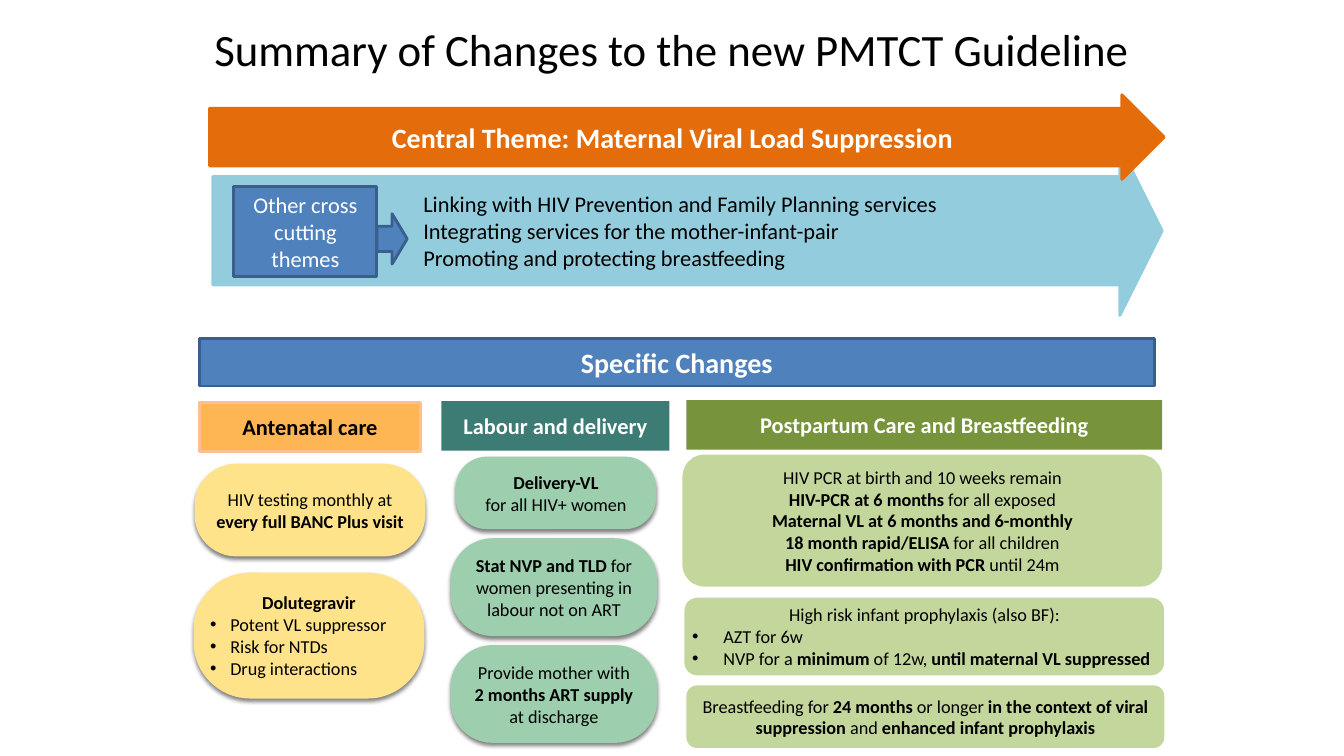
from lxml.etree import SubElement as Sub
from pptx import Presentation
from pptx.dml.color import RGBColor as Rgb
from pptx.enum.shapes import MSO_SHAPE as Kind
from pptx.enum.text import MSO_ANCHOR as Anchor, MSO_AUTO_SIZE as Auto, PP_ALIGN as Align
from pptx.oxml.ns import qn
from pptx.util import Inches, Pt

BLACK = Rgb(0x00, 0x00, 0x00)
WHITE = Rgb(0xFF, 0xFF, 0xFF)
BLUE = Rgb(0x4F, 0x81, 0xBD)
NAVY = Rgb(0x3A, 0x5F, 0x8C)
SKY = Rgb(0x93, 0xCD, 0xDD)
RUST = Rgb(0xE4, 0x6C, 0x0A)
AMBER = Rgb(0xFE, 0xB5, 0x54)
PEACH = Rgb(0xFA, 0xC0, 0x90)
LEMON = Rgb(0xFF, 0xE3, 0x8B)
TEAL = Rgb(0x3D, 0x7B, 0x75)
MINT = Rgb(0x9D, 0xCF, 0xAE)
OLIVE = Rgb(0x77, 0x93, 0x3C)
LIME = Rgb(0xC3, 0xD6, 0x9B)

COLS, ROWS = 160, 90
PAD = (1.2, 0.6, 1.2, 0.6)
BARE = (0, 0, 0, 0)


class Board:
    face = "Calibri"

    def __init__(self):
        self.deck = Presentation()
        self.deck.slide_width = Inches(13.33)
        self.deck.slide_height = Inches(7.5)
        self.slide = self.deck.slides.add_slide(self.deck.slide_layouts[6])

    def across(self, cols):
        return round(self.deck.slide_width * cols / COLS)

    def down(self, rows):
        return round(self.deck.slide_height * rows / ROWS)

    def place(self, box):
        x, y, w, h = box
        return self.across(x), self.down(y), self.across(w), self.down(h)

    def letter(self, shape, lines, size, color=BLACK, align=Align.CENTER,
               pad=PAD, dent=0, **more):
        frame = shape.text_frame
        left, top, right, low = pad
        form = {"word_wrap": True, "vertical_anchor": Anchor.MIDDLE,
                "margin_left": self.across(left), "margin_top": self.down(top),
                "margin_right": self.across(right), "margin_bottom": self.down(low)}
        for key, value in {**form, **more}.items():
            setattr(frame, key, value)
        for num, line in enumerate(lines):
            para = frame.paragraphs[0] if num == 0 else frame.add_paragraph()
            para.alignment = align
            if line.startswith("•"):
                line = line[1:]
                self.bullet(para, dent)
            for part, text in enumerate(line.split("**")):
                if text:
                    run = para.add_run()
                    run.text = text
                    font = {"name": self.face, "size": Pt(size), "bold": part % 2 == 1}
                    for key, value in font.items():
                        setattr(run.font, key, value)
                    run.font.color.rgb = color

    def bullet(self, para, dent):
        para.alignment = Align.LEFT
        props = para._p.get_or_add_pPr()
        step = self.across(dent)
        props.set("marL", str(step))
        props.set("indent", str(-step))
        Sub(props, qn("a:buFont")).set("typeface", "Arial")
        Sub(props, qn("a:buChar")).set("char", "•")

    def title(self, box, text, size):
        shape = self.slide.shapes.add_textbox(*self.place(box))
        self.letter(shape, [text], size, vertical_anchor=Anchor.TOP,
                    auto_size=Auto.SHAPE_TO_FIT_TEXT)

    def block(self, box, fill, edge=None, kind=Kind.RECTANGLE, bend=()):
        shape = self.slide.shapes.add_shape(kind, *self.place(box))
        shape.shadow.inherit = False
        shape.fill.solid()
        shape.fill.fore_color.rgb = fill
        if edge is None:
            shape.line.fill.background()
        else:
            shape.line.color.rgb = edge
            shape.line.width = Pt(2)
        for num, value in enumerate(bend):
            shape.adjustments[num] = value
        return shape

    def label(self, box, text, fill, edge=None, size=16, color=WHITE):
        self.letter(self.block(box, fill, edge), [text], size, color)

    def arrow(self, box, fill, edge, bend=()):
        return self.block(box, fill, edge, Kind.RIGHT_ARROW, bend)

    def card(self, box, lines, fill, **form):
        shape = self.block(box, fill, kind=Kind.ROUNDED_RECTANGLE)
        self.letter(shape, lines, 13, **form)

    def pill(self, box, lines, fill, bend, dent=0):
        shape = self.block(box, fill, kind=Kind.ROUNDED_RECTANGLE, bend=[bend])
        self.shade(shape)
        self.letter(shape, lines, 13, pad=BARE, dent=dent)

    def shade(self, shape):
        cast = Sub(shape._element.spPr.find(qn("a:effectLst")), qn("a:outerShdw"))
        form = {"blurRad": Pt(3), "dist": Pt(2), "dir": 90 * 60000,
                "algn": "t", "rotWithShape": 0}
        for key, value in form.items():
            cast.set(key, str(value))
        tint = Sub(cast, qn("a:srgbClr"))
        tint.set("val", str(BLACK))
        Sub(tint, qn("a:alpha")).set("val", "50000")


def main():
    board = Board()
    board.title((23.16, 2.04, 113.64, 7.68),
                "Summary of Changes to the new PMTCT Guideline", 32)

    themes = board.arrow((25.32, 17.4, 113.04, 20.16), SKY, SKY, (0.64, 0.25))
    board.letter(themes, ["Linking with HIV Prevention and Family Planning services",
                          "Integrating services for the mother-infant-pair",
                          "Promoting and protecting breastfeeding"],
                 16, align=Align.LEFT, pad=(25.08, 0.6, 1.2, 0.6))
    board.label((27.84, 22.2, 17.04, 10.68), "Other cross cutting themes", BLUE, NAVY)
    board.arrow((44.88, 25.44, 3.6, 6), BLUE, NAVY)
    central = board.arrow((24.96, 11.28, 113.64, 10.08), RUST, RUST, (0.68, 0.5))
    board.letter(central, ["**Central Theme: Maternal Viral Load Suppression**"], 20, WHITE)

    board.label((23.76, 40.32, 113.64, 5.64), "**Specific Changes**", BLUE, NAVY, 20)
    board.label((23.76, 47.88, 26.28, 5.88), "**Antenatal care**", AMBER, PEACH, color=BLACK)
    board.label((52.56, 47.76, 27.12, 5.88), "**Labour and delivery**", TEAL)
    board.label((81.72, 47.64, 56.64, 5.88), "**Postpartum Care and Breastfeeding**", OLIVE)

    board.pill((23.16, 55.2, 27.48, 11.04),
               ["HIV testing monthly at", "**every full BANC Plus visit**"], LEMON, 0.45)
    board.pill((23.04, 68.16, 27.48, 15),
               ["**Dolutegravir**", "•Potent VL suppressor", "•Risk for NTDs",
                "•Drug interactions"], LEMON, 0.45, dent=2.4)

    labour = [
        ((54.24, 54.36, 23.88, 8.64), ["**Delivery-VL**", "for all HIV+ women"]),
        ((53.64, 64.08, 24.6, 11.64),
         ["**Stat NVP and TLD** for women presenting in labour not on ART"]),
        ((53.64, 76.8, 24.6, 11.64),
         ["Provide mother with", "**2 months ART supply**", "at discharge"]),
    ]
    for box, lines in labour:
        board.pill(box, lines, MINT, 0.43)

    board.card((81.24, 54.12, 57.12, 15.72),
               ["HIV PCR at birth and 10 weeks remain",
                "**HIV-PCR at 6 months** for all exposed",
                "**Maternal VL at 6 months and 6-monthly**",
                "**18 month rapid/ELISA** for all children",
                "**HIV confirmation with PCR** until 24m"], LIME)
    board.card((81.48, 71.16, 57.12, 9.24),
               ["High risk infant prophylaxis (also BF):", "•AZT for 6w",
                "•NVP for a **minimum** of 12w, **until maternal VL suppressed**"],
               LIME, pad=(0.48, 0.6, 0.48, 0.6), dent=3.72)
    board.card((81.72, 81.6, 56.88, 7.44),
               ["Breastfeeding for **24 months** or longer **in the context of viral "
                "suppression** and **enhanced infant prophylaxis**"], LIME)
    board.deck.save("out.pptx")


if __name__ == "__main__":
    main()
